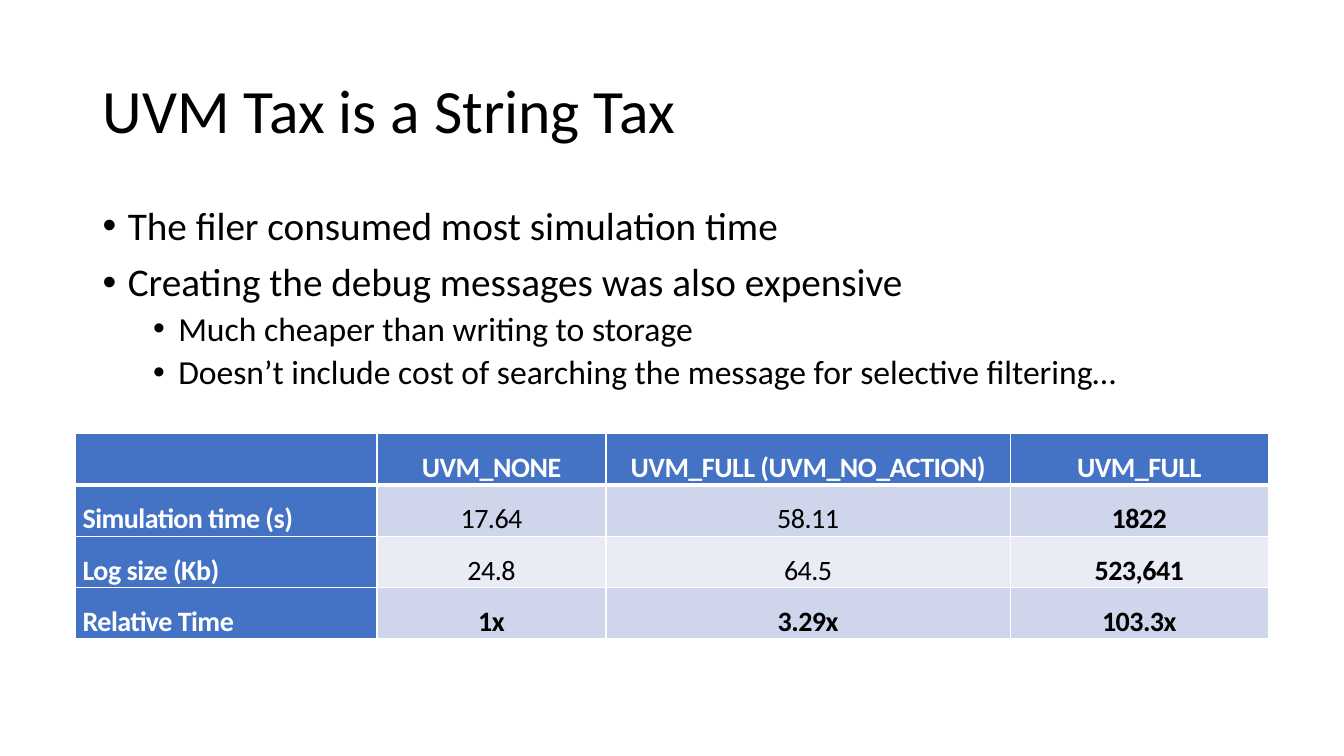
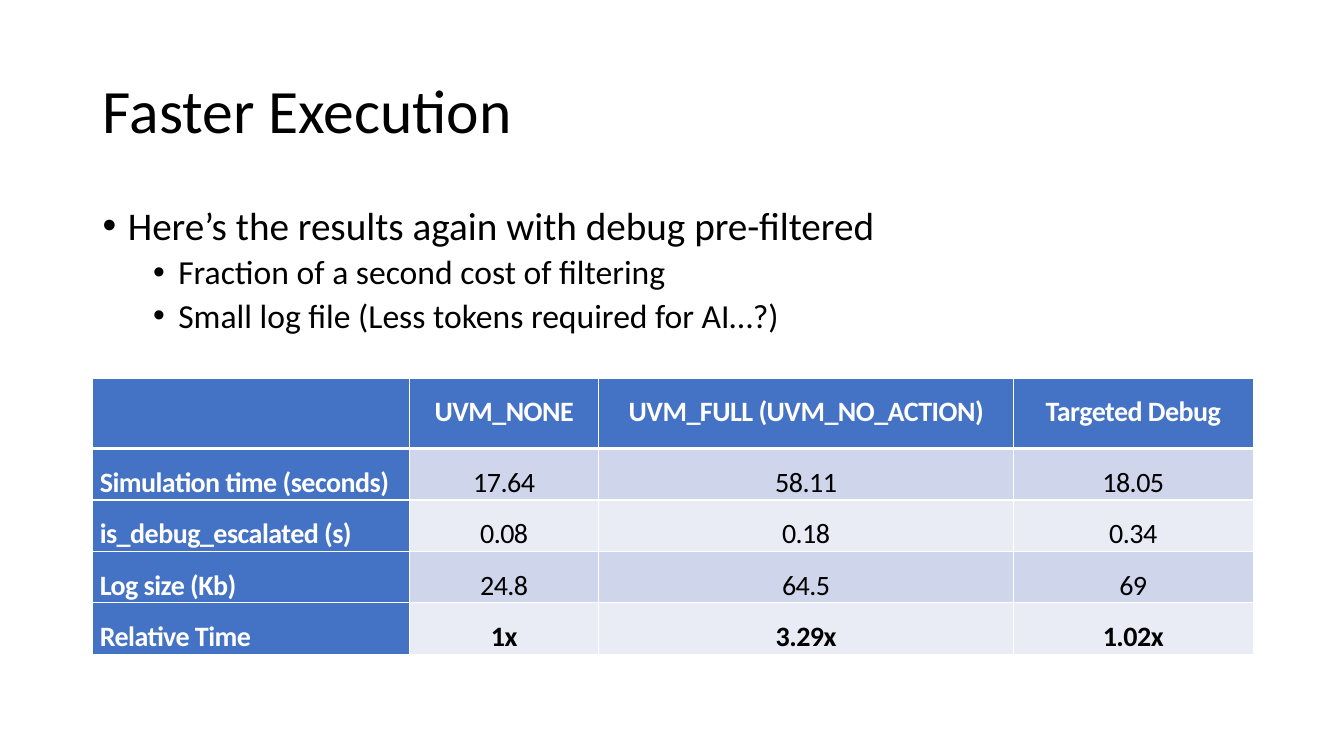
from lxml.etree import SubElement
from pptx import Presentation
from pptx.dml.color import RGBColor
from pptx.enum.text import MSO_ANCHOR as Anchor, MSO_AUTO_SIZE as AutoSize, PP_ALIGN as Align
from pptx.oxml.ns import qn
from pptx.util import Inches, Pt

BLACK = RGBColor(0x00, 0x00, 0x00)
WHITE = RGBColor(0xFF, 0xFF, 0xFF)
BLUE = RGBColor(0x44, 0x72, 0xC4)
BANDS = (RGBColor(0xCF, 0xD5, 0xEA), RGBColor(0xE9, 0xEB, 0xF5))

FONT = "Calibri"
LEFT, WIDTH = Inches(0.92), Inches(11.5)
ROW_HEIGHT = Inches(0.51)
HANGING = Inches(0.25)
LEVELS = (
    {"size": 28, "indent": Inches(0.25), "before": 10},
    {"size": 24, "indent": Inches(0.75), "before": 5},
)


class ResultsDeck:
    def __init__(self):
        self.deck = Presentation()
        self.deck.slide_width = Inches(13.33)
        self.deck.slide_height = Inches(7.5)
        self.page = None

    def style(self, para, size, color=BLACK, bold=False, spacing=0.9):
        para.line_spacing = spacing
        font = para.font
        font.name = FONT
        font.size = Pt(size)
        font.bold = bold
        font.color.rgb = color

    def add_page(self, title):
        self.page = self.deck.slides.add_slide(self.deck.slide_layouts[5])
        box = self.page.shapes.title
        box.left, box.top = LEFT, Inches(0.4)
        box.width, box.height = WIDTH, Inches(1.45)
        frame = box.text_frame
        frame.text = title
        frame.auto_size = AutoSize.NONE
        frame.vertical_anchor = Anchor.MIDDLE
        para = frame.paragraphs[0]
        para.alignment = Align.LEFT
        self.style(para, 44)

    def add_bullets(self, items):
        box = self.page.shapes.add_textbox(LEFT, Inches(2), WIDTH, Inches(4.76))
        frame = box.text_frame
        frame.word_wrap = True
        for index, (level, text) in enumerate(items):
            look = LEVELS[level]
            para = frame.add_paragraph() if index else frame.paragraphs[0]
            para.text = text
            para.level = level
            if index:
                para.space_before = Pt(look["before"])
            properties = para._p.get_or_add_pPr()
            properties.set("marL", str(look["indent"]))
            properties.set("indent", str(-HANGING))
            SubElement(properties, qn("a:buFont"), typeface="Arial")
            SubElement(properties, qn("a:buChar"), char="•")
            self.style(para, look["size"])

    def add_borders(self, cell, top, bottom):
        properties = cell._tc.get_or_add_tcPr()
        for side, width in (("lnL", 1), ("lnR", 1), ("lnT", top), ("lnB", bottom)):
            line = SubElement(properties, qn(f"a:{side}"), w=str(Pt(width)))
            fill = SubElement(line, qn("a:solidFill"))
            SubElement(fill, qn("a:srgbClr"), val=str(WHITE))

    def add_cell(self, cell, text, row, column, bold):
        heading = row == 0 or column == 0
        cell.margin_left = cell.margin_right = Inches(0.07)
        cell.margin_top = cell.margin_bottom = 0
        self.add_borders(cell, 3 if row == 1 else 1, 3 if row == 0 else 1)
        cell.fill.solid()
        cell.fill.fore_color.rgb = BLUE if heading else BANDS[(row - 1) % 2]
        cell.text = text
        para = cell.text_frame.paragraphs[0]
        para.alignment = Align.CENTER if column else Align.LEFT
        self.style(para, 20, WHITE if heading else BLACK, heading or bold, 1.5)
        para._p.pPr.get_or_add_defRPr().set("spc", "-40")

    def add_results(self, left, top, widths, header_height, rows, bold_cells):
        heights = [header_height] + [ROW_HEIGHT] * (len(rows) - 1)
        columns = [Inches(width) for width in widths]
        table = self.page.shapes.add_table(
            len(rows), len(columns), left, top, sum(columns), sum(heights)
        ).table
        table.horz_banding = False
        for column, width in zip(table.columns, columns):
            column.width = width
        for r, (height, values) in enumerate(zip(heights, rows)):
            table.rows[r].height = height
            for c, text in enumerate(values):
                self.add_cell(table.cell(r, c), text, r, c, (r, c) in bold_cells)


def main():
    results = ResultsDeck()

    results.add_page("UVM Tax is a String Tax")
    results.add_bullets([
        (0, "The filer consumed most simulation time"),
        (0, "Creating the debug messages was also expensive"),
        (1, "Much cheaper than writing to storage"),
        (1, "Doesn’t include cost of searching the message for selective filtering…"),
    ])
    results.add_results(
        Inches(0.75), Inches(4.3), (2.99, 2.27, 4.01, 2.56), ROW_HEIGHT,
        [
            ("", "UVM_NONE", "UVM_FULL (UVM_NO_ACTION)", "UVM_FULL"),
            ("Simulation time (s)", "17.64", "58.11", "1822"),
            ("Log size (Kb)", "24.8", "64.5", "523,641"),
            ("Relative Time", "1x", "3.29x", "103.3x"),
        ],
        {(1, 3), (2, 3), (3, 1), (3, 2), (3, 3)},
    )

    results.add_page("Faster Execution")
    results.add_bullets([
        (0, "Here’s the results again with debug pre-filtered"),
        (1, "Fraction of a second cost of filtering"),
        (1, "Small log file (Less tokens required for AI…?)"),
    ])
    results.add_results(
        LEFT, Inches(3.75), (3.14, 1.88, 4.11, 2.38), Inches(0.7),
        [
            ("", "UVM_NONE", "UVM_FULL (UVM_NO_ACTION)", "Targeted Debug"),
            ("Simulation time (seconds)", "17.64", "58.11", "18.05"),
            ("is_debug_escalated (s)", "0.08", "0.18", "0.34"),
            ("Log size (Kb)", "24.8", "64.5", "69"),
            ("Relative Time", "1x", "3.29x", "1.02x"),
        ],
        {(4, 1), (4, 2), (4, 3)},
    )

    results.deck.save("out.pptx")


if __name__ == "__main__":
    main()
